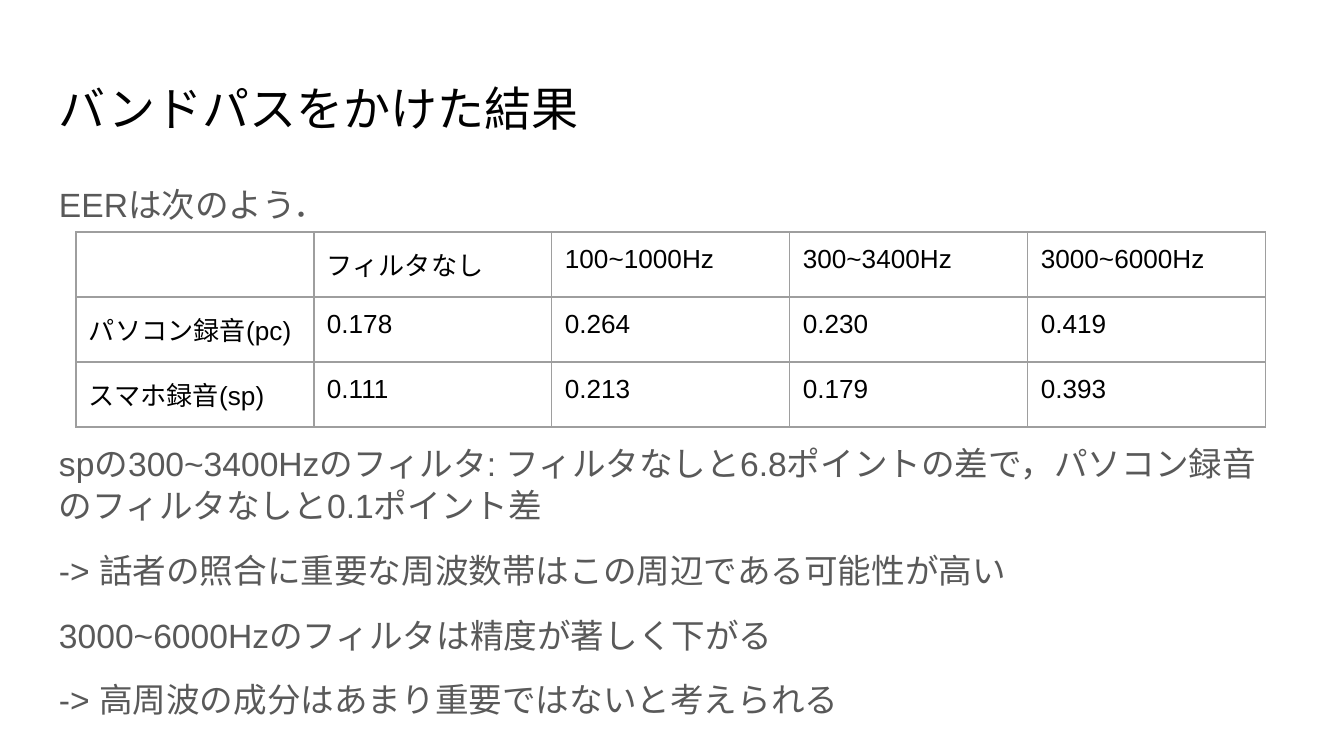
from lxml import etree
from pptx import Presentation
from pptx import util as u
from pptx.dml.color import RGBColor
from pptx.enum import text
from pptx.oxml import ns

PX = 914400 / 134.4
FONT = "Arial"
INSET = 13
BLACK, GREY, RULE, WHITE = "000000", "595959", "9E9E9E", "FFFFFF"

TITLE = "バンドパスをかけた結果"
# Each remark with the space before it, in points; the second clears the table.
REMARKS = [
    ("EERは次のよう．", 0),
    ("spの300~3400Hzのフィルタ: フィルタなしと6.8ポイントの差で，"
     "パソコン録音のフィルタなしと0.1ポイント差", 116),
    ("-> 話者の照合に重要な周波数帯はこの周辺である可能性が高い", 12),
    ("3000~6000Hzのフィルタは精度が著しく下がる", 12),
    ("-> 高周波の成分はあまり重要ではないと考えられる", 12),
]
EER_ROWS = [
    ["", "フィルタなし", "100~1000Hz", "300~3400Hz", "3000~6000Hz"],
    ["パソコン録音(pc)", "0.178", "0.264", "0.230", "0.419"],
    ["スマホ録音(sp)", "0.111", "0.213", "0.179", "0.393"],
]


def px(length):
    return u.Emu(round(length * PX))


def color(hex_value):
    return RGBColor.from_string(hex_value)


def set_insets(target):
    """Give a text frame or a table cell the same inset on every side."""
    target.margin_left = target.margin_right = px(INSET)
    target.margin_top = target.margin_bottom = px(INSET)


def style(paragraph, size, hex_value):
    paragraph.alignment = text.PP_ALIGN.LEFT
    paragraph.font.name = FONT
    paragraph.font.size = u.Pt(size)
    paragraph.font.color.rgb = color(hex_value)


def rule_cell(cell):
    """Draw a thin line on all four sides of a cell, ahead of its fill."""
    properties = cell._tc.get_or_add_tcPr()
    for index, side in enumerate(("lnL", "lnR", "lnT", "lnB")):
        line = etree.Element(ns.qn(f"a:{side}"), w=str(u.Pt(0.75)))
        fill = etree.SubElement(line, ns.qn("a:solidFill"))
        etree.SubElement(fill, ns.qn("a:srgbClr"), val=RULE)
        properties.insert(index, line)


class SlideBuilder:
    def __init__(self, deck):
        self.slide = deck.slides.add_slide(deck.slide_layouts[5])

    def prepare(self, frame):
        frame.word_wrap = True
        frame.auto_size = text.MSO_AUTO_SIZE.NONE
        frame.vertical_anchor = text.MSO_ANCHOR.TOP
        set_insets(frame)

    def title(self, wording, left, top, width, height):
        heading = self.slide.shapes.title
        heading.left, heading.top = px(left), px(top)
        heading.width, heading.height = px(width), px(height)
        frame = heading.text_frame
        self.prepare(frame)
        frame.text = wording
        style(frame.paragraphs[0], 25.2, BLACK)

    def body(self, remarks, left, top, width, height):
        frame = self.slide.shapes.add_textbox(
            px(left), px(top), px(width), px(height)).text_frame
        self.prepare(frame)
        frame.text = "\n".join(wording for wording, _ in remarks)
        for paragraph, (_, gap) in zip(frame.paragraphs, remarks):
            style(paragraph, 18, GREY)
            paragraph.line_spacing = 1.05
            paragraph.space_before = u.Pt(gap)

    def table(self, rows, left, top, column_width, row_height):
        columns = len(rows[0])
        table = self.slide.shapes.add_table(
            len(rows), columns, px(left), px(top),
            px(columns * column_width), px(len(rows) * row_height)).table
        table.first_row = table.horz_banding = False
        for column in table.columns:
            column.width = px(column_width)
        for row, values in zip(table.rows, rows):
            row.height = px(row_height)
            for cell, value in zip(row.cells, values):
                cell.text = value
                cell.fill.solid()
                cell.fill.fore_color.rgb = color(WHITE)
                set_insets(cell)
                style(cell.text_frame.paragraphs[0], 14, BLACK)
                rule_cell(cell)


def main():
    deck = Presentation()
    deck.slide_width, deck.slide_height = px(1344), px(756)
    builder = SlideBuilder(deck)
    builder.title(TITLE, 46, 66, 1252, 84)
    builder.body(REMARKS, 46, 169, 1252, 586)
    builder.table(EER_ROWS, 76, 232, 238, 65)
    deck.save("out.pptx")


if __name__ == "__main__":
    main()
